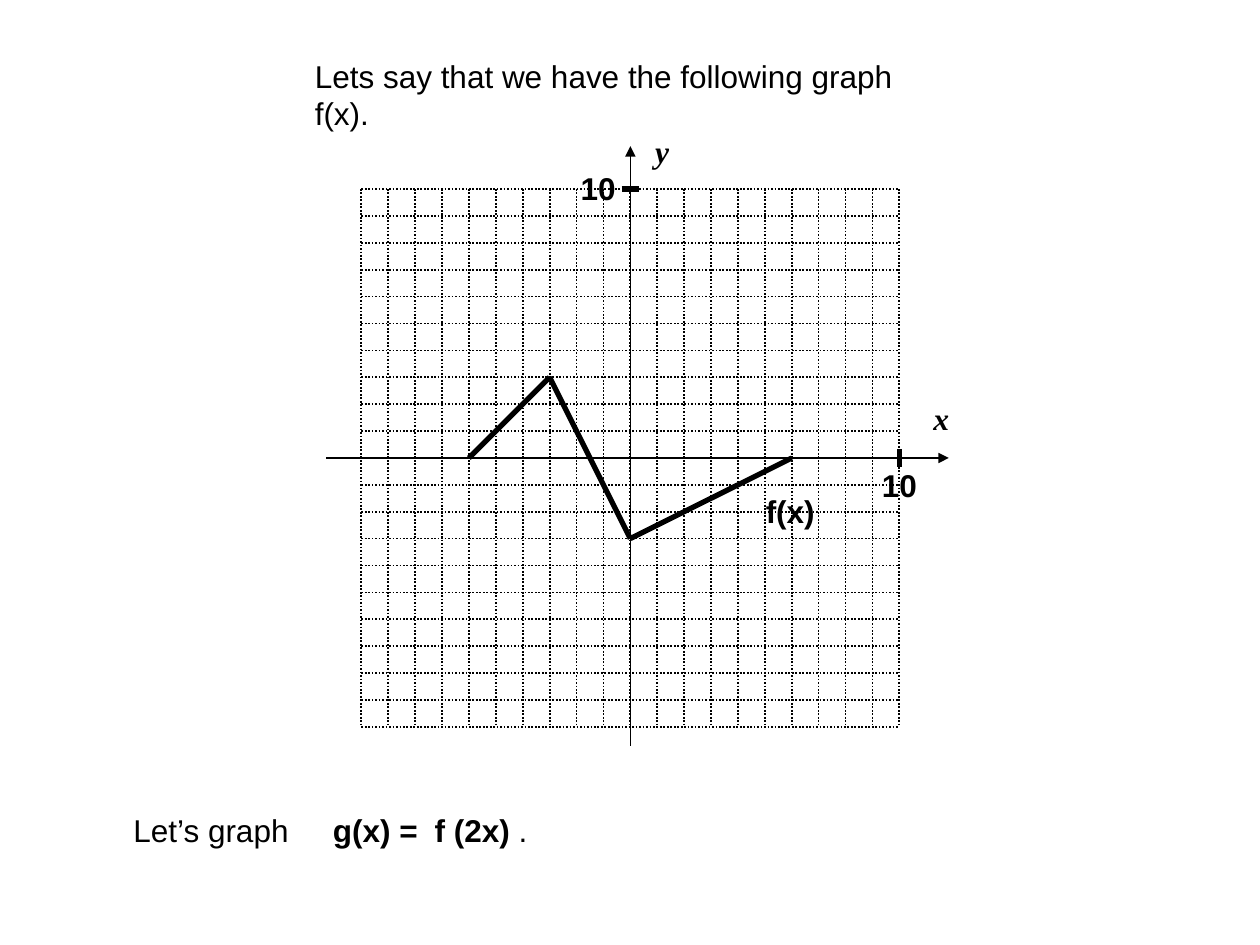
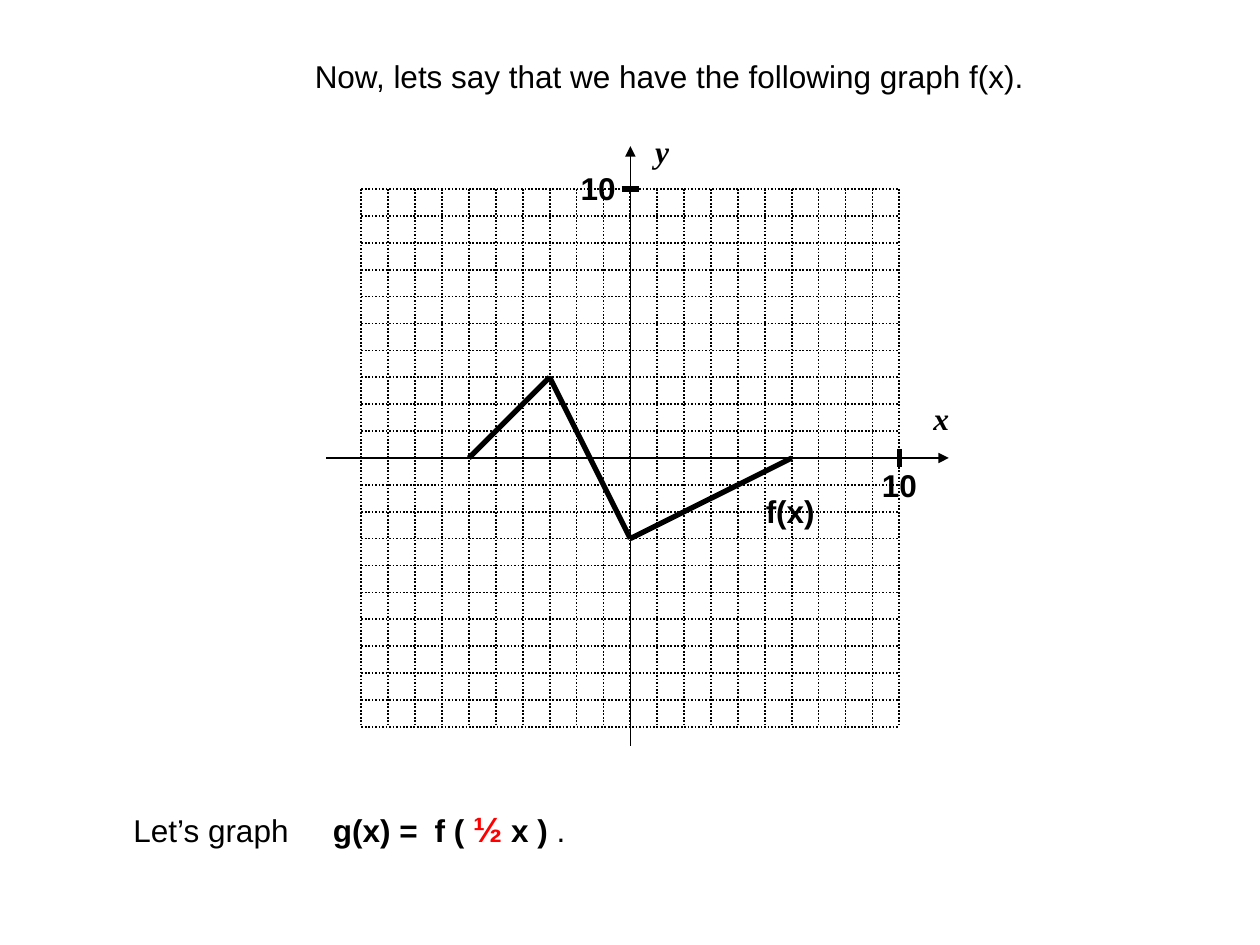
from dataclasses import dataclass
from itertools import pairwise

from pptx import Presentation
from pptx.dml.color import RGBColor
from pptx.enum.dml import MSO_LINE
from pptx.enum.shapes import MSO_CONNECTOR
from pptx.enum.text import MSO_AUTO_SIZE
from pptx.oxml.ns import qn
from pptx.util import Pt
from lxml.etree import SubElement


@dataclass(frozen=True)
class Theme:
    """Colours, fonts, type sizes and line widths."""
    ink: RGBColor = RGBColor(0, 0, 0)
    accent: RGBColor = RGBColor(255, 0, 0)
    sans: str = "Arial"
    serif: str = "Times New Roman"
    text: float = 18
    fraction: float = 20
    axis_line: float = 0.75
    grid_line: float = 1
    bold_line: float = 3


@dataclass(frozen=True)
class Box:
    """A rectangle in points."""
    left: float
    top: float
    width: float
    height: float


@dataclass(frozen=True)
class Run:
    """A piece of text and its look."""
    text: str
    bold: bool = False
    italic: bool = False
    size: float = Theme.text
    font: str = Theme.sans
    color: RGBColor = Theme.ink


LIMIT = 10
F_POINTS = [(-6, 0), (-3, 3), (0, -3), (6, 0)]
PROMPT_TABS = (114, 172.2)
TITLE_HEIGHT = 28.8
PLOT = Box(206.5, 108, 307.4, 307.4)


def add_text(s, box, runs, tabs=()):
    """Write one paragraph of runs, with optional left tab stops."""
    sp = s.shapes.add_textbox(Pt(box.left), Pt(box.top), Pt(box.width), Pt(box.height))
    tf = sp.text_frame
    tf.word_wrap = bool(tabs)
    tf.auto_size = MSO_AUTO_SIZE.SHAPE_TO_FIT_TEXT
    p = tf.paragraphs[0]
    if tabs:
        tab_list = SubElement(p._p.get_or_add_pPr(), qn("a:tabLst"))
        for stop in tabs:
            SubElement(tab_list, qn("a:tab"), pos=str(Pt(stop)), algn="l")
    for run in runs:
        r = p.add_run()
        r.text = run.text
        r.font.name, r.font.size = run.font, Pt(run.size)
        r.font.bold, r.font.italic = run.bold, run.italic
        r.font.color.rgb = run.color


def add_line(shapes, start, end, width, dash=None, arrow=False):
    """Draw a straight line, with an arrowhead at its start if asked."""
    sp = shapes.add_connector(MSO_CONNECTOR.STRAIGHT, *map(Pt, (*start, *end)))
    sp.line.color.rgb = Theme.ink
    sp.line.width = Pt(width)
    if dash:
        sp.line.dash_style = dash
    if arrow:
        SubElement(sp.line._get_or_add_ln(), qn("a:headEnd"), type="triangle")
    SubElement(sp._element.spPr, qn("a:effectLst"))


def add_curve(s, box):
    """Join the points of f inside the plot box."""
    unit = box.width / (2 * LIMIT)
    points = [(box.left + (LIMIT + x) * unit, box.top + (LIMIT - y) * unit) for x, y in F_POINTS]
    curve = s.shapes.add_group_shape()
    for start, end in pairwise(points):
        add_line(curve.shapes, start, end, Theme.bold_line)


def add_grid(s, box):
    """Rule the plot box into unit cells with dotted lines."""
    grid = s.shapes.add_group_shape()
    right, bottom = box.left + box.width, box.top + box.height
    steps = [i * box.width / (2 * LIMIT) for i in range(2 * LIMIT + 1)]
    columns = [((box.left + d, box.top), (box.left + d, bottom)) for d in steps]
    rows = [((box.left, bottom - d), (right, bottom - d)) for d in steps]
    for start, end in columns + rows:
        add_line(grid.shapes, start, end, Theme.grid_line, MSO_LINE.ROUND_DOT)


def add_axes(s, box):
    """Draw the axes with their end ticks and labels around the plot box."""
    right, bottom = box.left + box.width, box.top + box.height
    x0, y0 = box.left + box.width / 2, box.top + box.height / 2
    tick = 5
    add_line(s.shapes, (x0, box.top - 24.5), (x0, bottom + 11), Theme.axis_line, arrow=True)
    add_line(s.shapes, (right + 28.3, y0), (box.left - 20, y0), Theme.axis_line, arrow=True)
    add_line(s.shapes, (right, y0 - tick), (right, y0 + tick), Theme.bold_line)
    add_line(s.shapes, (x0 - tick, box.top), (x0 + tick, box.top), Theme.bold_line)

    limit = Run(str(LIMIT), bold=True)
    labels = [
        (Run("y", True, True, font=Theme.serif), x0 + 7, box.top - 36, 22.3),
        (Run("x", True, True, font=Theme.serif), right + 12.4, y0 - 37.1, 23),
        (limit, right - 17.1, y0 + 1.1, 34.5),
        (limit, x0 - 35.5, box.top - 15.1, 34.5),
        (Run("f(x)", bold=True), x0 + 70.3, y0 + 16.2, 42.5),
    ]
    for run, left, top, width in labels:
        add_text(s, Box(left, top, width, 28.8), [run])


def add_graph_slide(prs, title, title_width, formula, prompt_box):
    """Add a slide that shows f and asks for a transformed graph."""
    s = prs.slides.add_slide(prs.slide_layouts[6])
    add_text(s, Box(172.8, 28.8, title_width, TITLE_HEIGHT), [Run(title)])
    add_curve(s, PLOT)
    add_text(s, prompt_box, [Run("Let’s graph\t"), *formula, Run(" .")], PROMPT_TABS)
    add_grid(s, PLOT)
    add_axes(s, PLOT)


def main():
    """Build and save the deck."""
    prs = Presentation()
    prs.slide_width, prs.slide_height = Pt(720), Pt(540)
    add_graph_slide(
        prs, "Lets say that we have the following graph f(x).", 380.2,
        [Run("g(x) =\tf (2x)", bold=True)],
        Box(69.1, 460, 242, 28.8))
    add_graph_slide(
        prs, "Now, lets say that we have the following graph f(x).", 420.5,
        [Run("g(x) =\tf ( ", bold=True),
         Run("½", bold=True, size=Theme.fraction, color=Theme.accent),
         Run(" x )", bold=True)],
        Box(69.1, 458, 264, 31.5))
    prs.save("out.pptx")


if __name__ == "__main__":
    main()
